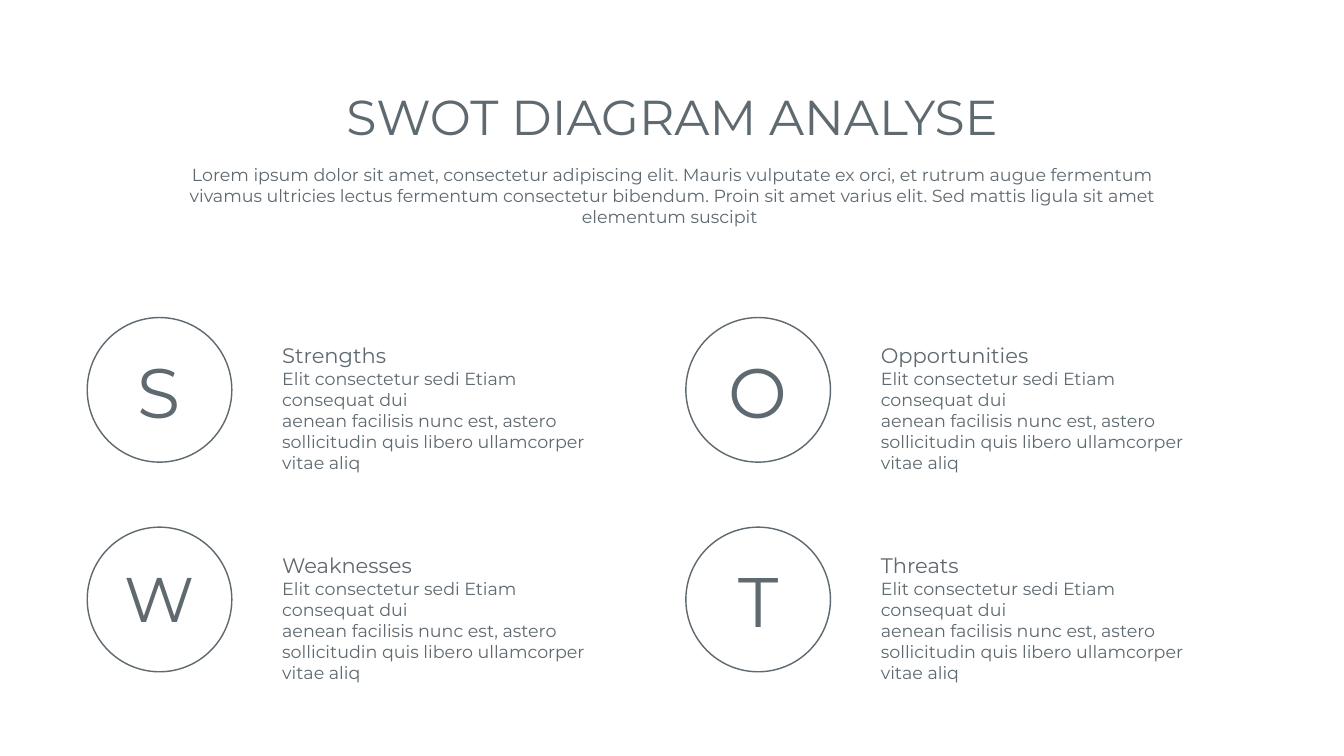
import dataclasses

import pptx
import pptx.dml.color
import pptx.enum.shapes
import pptx.enum.text
import pptx.util

ALIGN = pptx.enum.text.PP_ALIGN


@dataclasses.dataclass(frozen=True)
class Theme:
    font: str = "Montserrat"
    ink: str = "5E6970"
    title: int = 70
    heading: int = 30
    body: int = 25
    letter: int = 100
    wide_letter: int = 90
    outline: int = 2


def write(paragraph, text, theme, size, align=ALIGN.LEFT, spacing=1.0):
    paragraph.alignment = align
    paragraph.line_spacing = spacing
    run = paragraph.add_run()
    run.text = text
    run.font.name = theme.font
    run.font.size = pptx.util.Pt(size)
    run.font.color.rgb = pptx.dml.color.RGBColor.from_string(theme.ink)


class Deck:
    def __init__(self, theme, width, height):
        self.theme = theme
        self.presentation = pptx.Presentation()
        self.presentation.slide_width = pptx.util.Inches(width)
        self.presentation.slide_height = pptx.util.Inches(height)
        self.slide = self.presentation.slides.add_slide(
            self.presentation.slide_layouts[5])

    def place(self, left, top, width, height):
        across = self.presentation.slide_width / 100
        down = self.presentation.slide_height / 100
        return (round(left * across), round(top * down),
                round(width * across), round(height * down))

    def fill_frame(self, frame, lines):
        frame.word_wrap = True
        frame.vertical_anchor = pptx.enum.text.MSO_ANCHOR.TOP
        frame.auto_size = pptx.enum.text.MSO_AUTO_SIZE.SHAPE_TO_FIT_TEXT
        for index, (text, style) in enumerate(lines):
            paragraph = frame.add_paragraph() if index else frame.paragraphs[0]
            write(paragraph, text, self.theme, **style)

    def title(self, text, *box):
        heading = self.slide.shapes.title
        heading.left, heading.top, heading.width, heading.height = self.place(*box)
        style = dict(size=self.theme.title, align=ALIGN.CENTER, spacing=0.8)
        self.fill_frame(heading.text_frame, [(text, style)])

    def text(self, lines, *box, group=None):
        shapes = (group or self.slide).shapes
        self.fill_frame(shapes.add_textbox(*self.place(*box)).text_frame, lines)

    def circle(self, *box, group):
        ring = group.shapes.add_shape(
            pptx.enum.shapes.MSO_SHAPE.OVAL, *self.place(*box))
        ring.shadow.inherit = False
        ring.fill.background()
        ring.line.color.rgb = pptx.dml.color.RGBColor.from_string(self.theme.ink)
        ring.line.width = pptx.util.Pt(self.theme.outline)

    def quadrant(self, name, details, letter_size, left, top):
        group = self.slide.shapes.add_group_shape()
        self.circle(left, top, 10.76, 19.13, group=group)
        letter = dict(size=letter_size, align=ALIGN.CENTER, spacing=0.8)
        self.text([(name[0], letter)], left + 1.12, top + 5.9,
                  8.51, 0.098 * letter_size, group=group)
        lines = [(name, dict(size=self.theme.heading, spacing=2.0))]
        lines += [(detail, dict(size=self.theme.body)) for detail in details]
        self.text(lines, left + 14.14, top - 0.33, 24.67, 21.4, group=group)


SUMMARY = (
    "Lorem ipsum dolor sit amet, consectetur adipiscing elit. Mauris vulputate "
    "ex orci, et rutrum augue fermentum vivamus ultricies lectus fermentum "
    "consectetur bibendum. Proin sit amet varius elit. Sed mattis ligula sit "
    "amet elementum suscipit "
)
DETAILS = (
    "Elit consectetur sedi Etiam consequat dui",
    "aenean facilisis nunc est, astero sollicitudin quis libero ullamcorper "
    "vitae aliq",
)


def main():
    theme = Theme()
    deck = Deck(theme, 26.67, 15)
    deck.title("SWOT DIAGRAM ANALYSE", 19.69, 12.6, 60.63, 7.07)
    deck.text([(SUMMARY, dict(size=theme.body, align=ALIGN.CENTER))],
              12.11, 21.4, 75.78, 9.07)
    factors = (
        ("Strengths", theme.letter),
        ("Weaknesses", theme.wide_letter),
        ("Opportunities", theme.letter),
        ("Threats", theme.letter),
    )
    for index, (name, letter_size) in enumerate(factors):
        column, row = divmod(index, 2)
        deck.quadrant(name, DETAILS, letter_size,
                      6.49 + 44.54 * column, 42 + 27.73 * row)
    deck.presentation.save("out.pptx")


if __name__ == "__main__":
    main()
